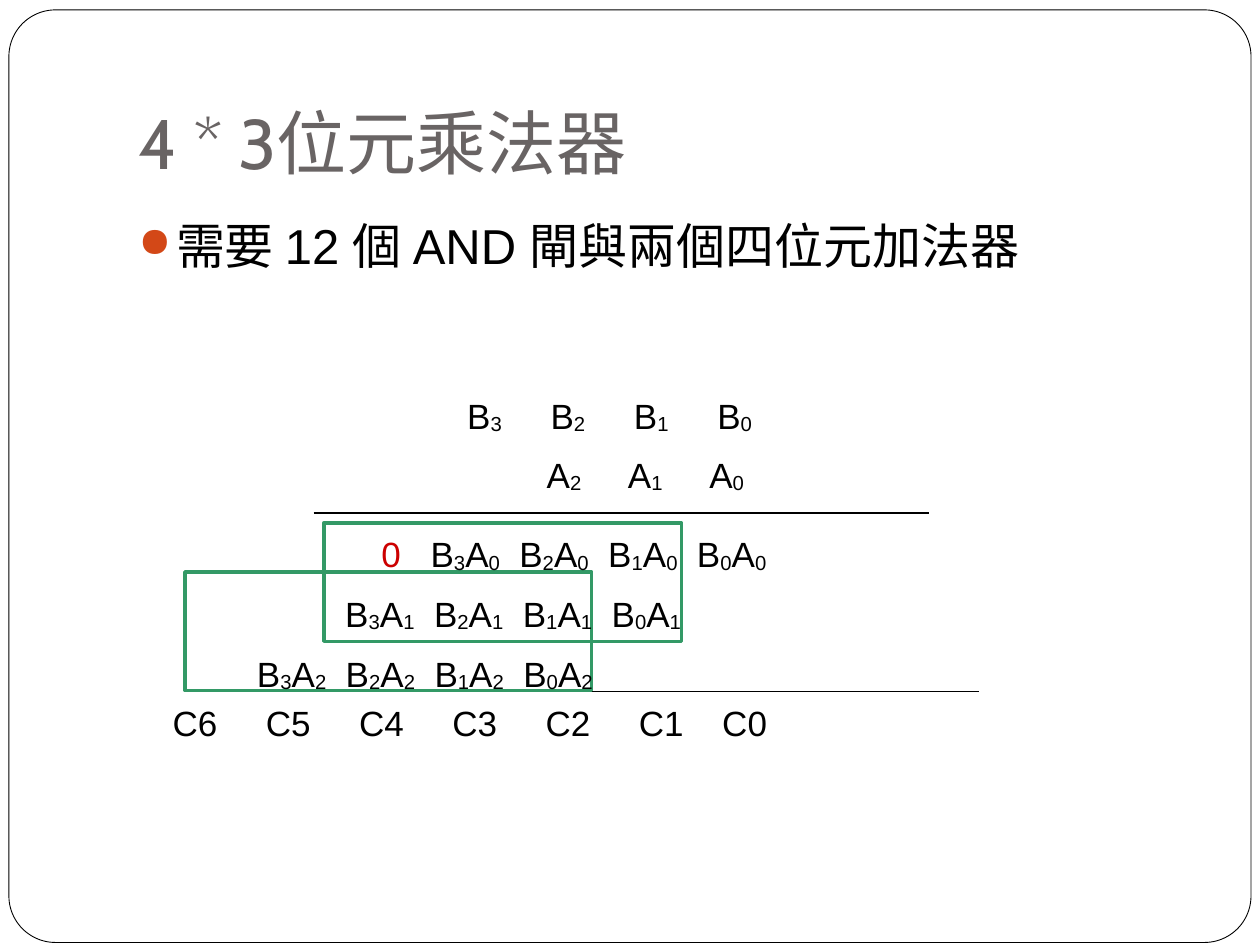
from dataclasses import dataclass

from lxml.etree import SubElement
from pptx import Presentation
from pptx.dml.color import RGBColor
from pptx.enum.shapes import MSO_CONNECTOR as Connector, MSO_SHAPE as Shape
from pptx.enum.text import MSO_ANCHOR as Anchor
from pptx.oxml.ns import qn
from pptx.util import Cm, Pt


@dataclass(frozen=True)
class Theme:
    title_font: str = "Cabin"
    body_font: str = "Arial"
    title_size: int = 40
    body_size: int = 28
    row_size: int = 20
    title: str = "696464"
    ink: str = "000000"
    accent: str = "D34817"
    zero: str = "CC0000"
    group: str = "339966"
    paper: str = "FFFFFF"


THEME = Theme()
PRODUCT_PITCH = 1.79


def style(font, name, size, color):
    font.name, font.size = name, Pt(size)
    font.color.rgb = RGBColor.from_string(color)


def add_text_box(slide, left, top, width, height, anchor=Anchor.TOP):
    frame = slide.shapes.add_textbox(Cm(left), Cm(top), Cm(width), Cm(height)).text_frame
    frame.word_wrap = True
    frame.vertical_anchor = anchor
    return frame


def add_title(slide, text):
    frame = add_text_box(slide, 2.54, 0.76, 21.59, 3.18, Anchor.BOTTOM)
    frame.margin_bottom = Cm(0.25)
    frame.text = text
    style(frame.paragraphs[0].runs[0].font, THEME.title_font, THEME.title_size, THEME.title)


def add_bullet(slide, text):
    frame = add_text_box(slide, 2.54, 4.22, 21.59, 12.5)
    frame.text = text
    paragraph = frame.paragraphs[0]
    properties = paragraph._p.get_or_add_pPr()
    properties.set("marL", str(Cm(0.76)))
    properties.set("indent", str(Cm(-0.76)))
    bullet_color = SubElement(properties, qn("a:buClr"))
    SubElement(bullet_color, qn("a:srgbClr"), val=THEME.accent)
    SubElement(properties, qn("a:buSzPct"), val="85000")
    SubElement(properties, qn("a:buChar"), char="●")
    style(paragraph.runs[0].font, THEME.body_font, THEME.body_size, THEME.ink)


def add_row(slide, left, top, width, terms, stops, subscripts=True):
    """One line of terms, each after the first starting at a tab stop."""
    frame = add_text_box(slide, left, top, width, 1.2)
    paragraph = frame.paragraphs[0]
    tabs = SubElement(paragraph._p.get_or_add_pPr(), qn("a:tabLst"))
    for stop in stops:
        SubElement(tabs, qn("a:tab"), pos=str(Cm(stop)), algn="l")

    def add_piece(text, color=THEME.ink):
        run = paragraph.add_run()
        run.text = text
        style(run.font, THEME.body_font, THEME.row_size, color)
        return run

    for index, term in enumerate(terms):
        lead = "\t" if index else ""
        if term == "0":
            add_piece(lead + term, THEME.zero)
        elif not subscripts:
            add_piece(lead + term)
        else:
            for letter, digit in zip(term[::2], term[1::2]):
                add_piece(lead + letter)
                add_piece(digit)._r.get_or_add_rPr().set("baseline", "-6000")
                lead = ""


def even_stops(pitch, count, start=0):
    return [start + pitch * number for number in range(1, count + 1)]


def add_rule(slide, left, right, top):
    line = slide.shapes.add_connector(Connector.STRAIGHT, Cm(left), Cm(top), Cm(right), Cm(top))
    line.line.color.rgb = RGBColor.from_string(THEME.ink)
    line.line.width = Pt(1)
    SubElement(line._element.spPr, qn("a:effectLst"))


def add_outline(slide, kind, left, top, width, height, color, weight):
    shape = slide.shapes.add_shape(kind, Cm(left), Cm(top), Cm(width), Cm(height))
    shape.shadow.inherit = False
    shape.fill.background()
    shape.line.color.rgb = RGBColor.from_string(color)
    shape.line.width = Pt(weight)
    return shape


def main():
    presentation = Presentation()
    presentation.slide_width, presentation.slide_height = Cm(25.4), Cm(19.05)
    slide = presentation.slides.add_slide(presentation.slide_layouts[6])

    # Frame and headings
    border = add_outline(slide, Shape.ROUNDED_RECTANGLE, 0.18, 0.2, 25.04, 18.8, THEME.ink, 0.5)
    border.adjustments[0] = 0.05
    border.fill.solid()
    border.fill.fore_color.rgb = RGBColor.from_string(THEME.paper)
    add_title(slide, "4 * 3位元乘法器")
    add_bullet(slide, "需要 12 個 AND 閘與兩個四位元加法器")

    # Factors
    add_row(slide, 9.17, 7.82, 6.6, [f"B{b}" for b in (3, 2, 1, 0)], even_stops(1.68, 3))
    add_row(slide, 10.77, 9.02, 5, [f"A{a}" for a in (2, 1, 0)], even_stops(1.64, 2))

    # Rules and the two adder groups
    add_rule(slide, 6.32, 18.72, 10.34)
    add_rule(slide, 3.94, 19.74, 13.94)
    add_outline(slide, Shape.RECTANGLE, 6.53, 10.54, 7.21, 2.39, THEME.group, 2)
    add_outline(slide, Shape.RECTANGLE, 3.73, 11.53, 8.2, 2.39, THEME.group, 2)

    # Partial products
    products = [[f"B{b}A{a}" for b in (3, 2, 1, 0)] for a in range(3)]
    add_row(slide, 7.44, 10.62, 8.6, ["0"] + products[0],
            [0.99] + even_stops(PRODUCT_PITCH, 3, 0.99))
    add_row(slide, 6.71, 11.81, 8.6, products[1], even_stops(PRODUCT_PITCH, 3))
    add_row(slide, 4.93, 13.03, 8.6, products[2], even_stops(PRODUCT_PITCH, 3))

    # Result
    add_row(slide, 3.23, 14.02, 14.8, [f"C{c}" for c in range(6, -1, -1)],
            even_stops(1.88, 5) + [11.08], subscripts=False)

    presentation.save("out.pptx")


if __name__ == "__main__":
    main()
